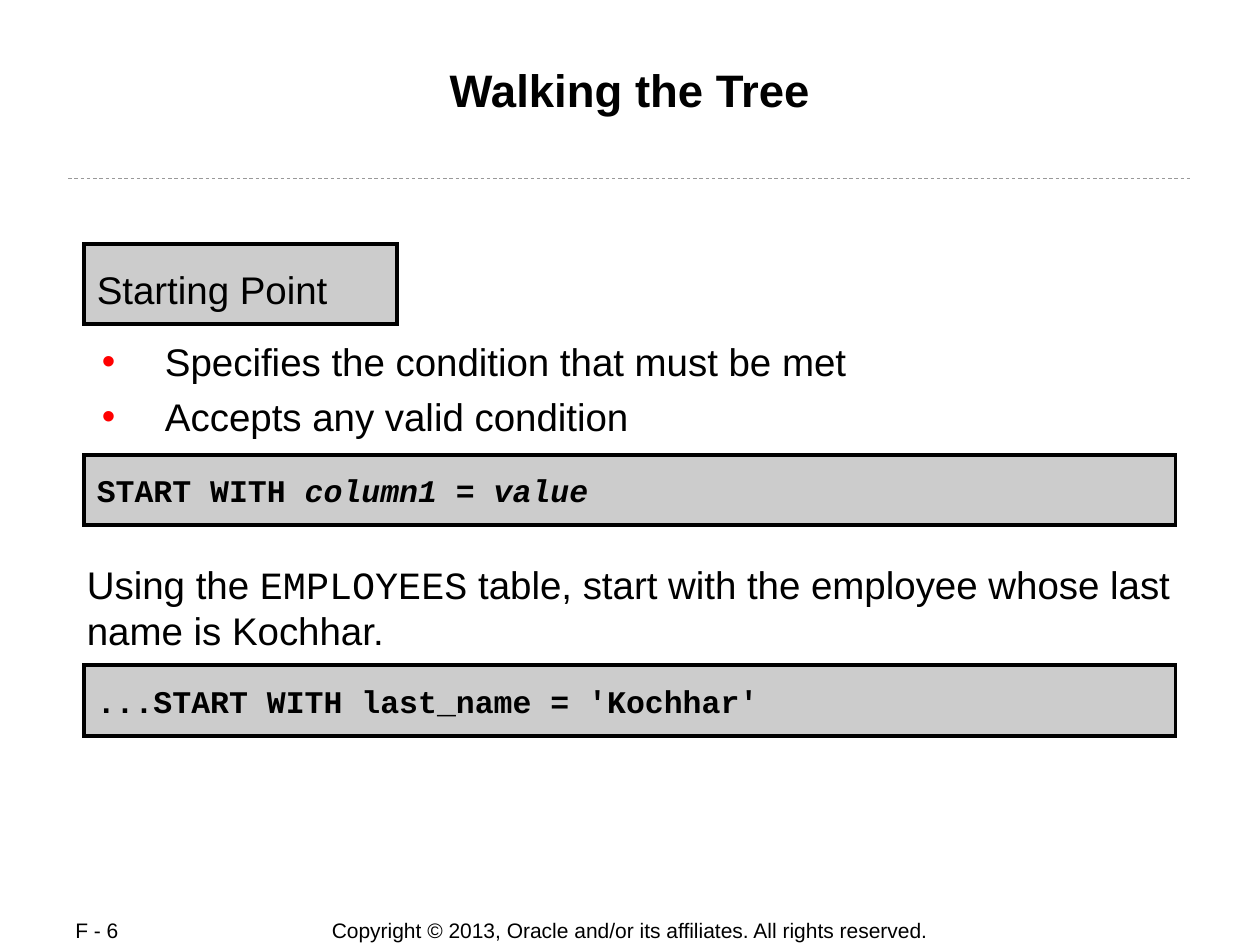
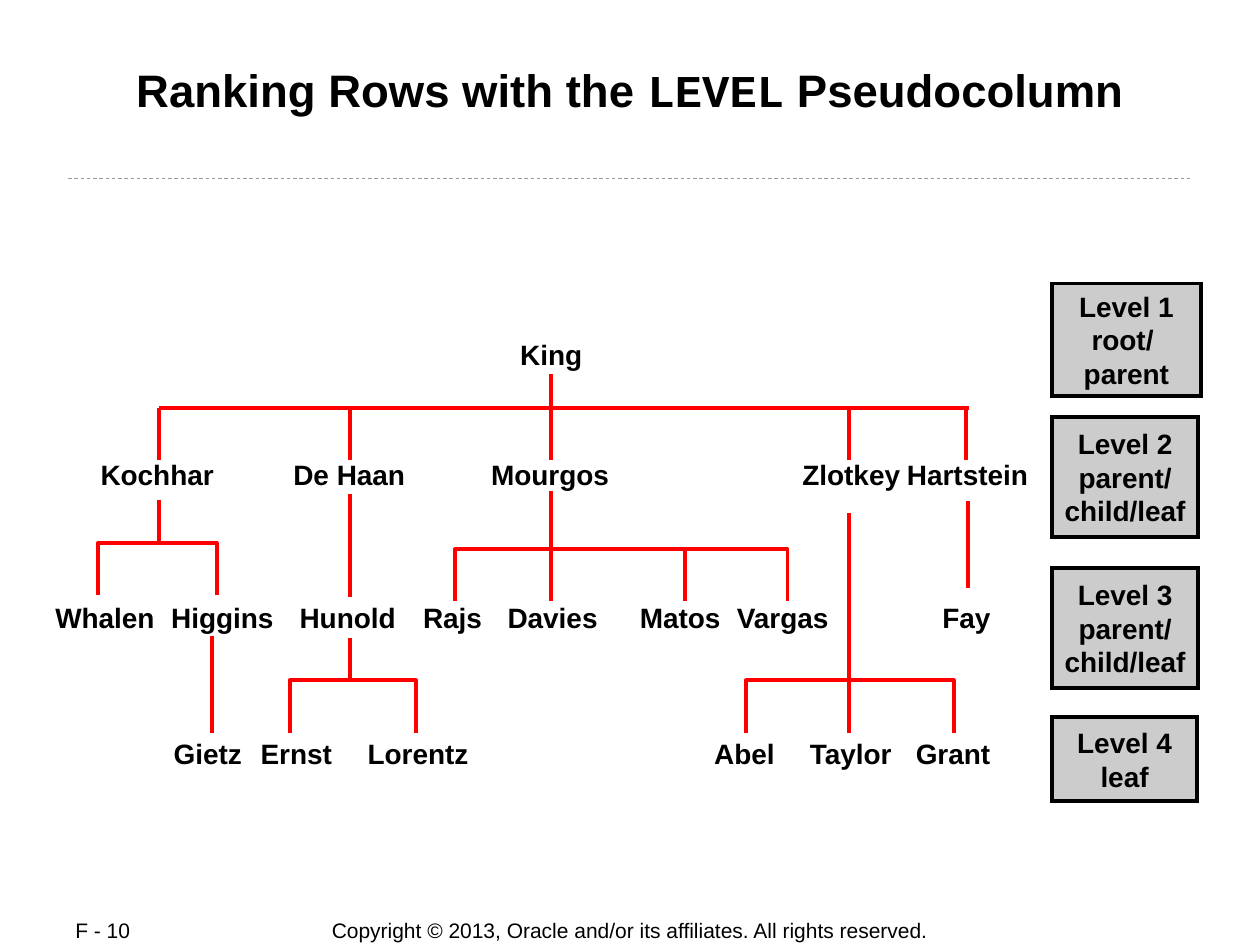
from dataclasses import dataclass

from lxml import etree
from pptx import Presentation
from pptx import util as u
from pptx.dml.color import RGBColor
from pptx.enum import dml, shapes, text
from pptx.oxml import ns


@dataclass(frozen=True)
class Theme:
    ink: str = "000000"
    panel: str = "CCCCCC"
    accent: str = "FF0000"
    rule: str = "999999"
    sans: str = "Arial"
    mono: str = "Courier New"
    title: int = 26
    body: int = 22
    code: int = 18
    label: int = 16
    footer: int = 12
    stroke: float = 2.25


THEME = Theme()
MONO = {"name": THEME.mono}
ITALIC = {"italic": True}
INSET = (0.1, 0.05, 0.1, 0.05)
THIN_INSET = (0.01, 0.01, 0.01, 0.01)
LEFT, CENTER = text.PP_ALIGN.LEFT, text.PP_ALIGN.CENTER
TOP, MIDDLE = text.MSO_ANCHOR.TOP, text.MSO_ANCHOR.MIDDLE

COPYRIGHT = "Copyright © 2013, Oracle and/or its affiliates. All rights reserved."

WALKING = {
    "title": ["Walking the Tree"],
    "number": "F - 6",
    "heading": "Starting Point",
    "bullets": ["Specifies the condition that must be met", "Accepts any valid condition"],
    "syntax": ["START WITH ", ("column1", ITALIC), " = ", ("value", ITALIC)],
    "task": ["Using the ", ("EMPLOYEES", MONO),
             " table, start with the employee whose last name is Kochhar."],
    "example": ["...START WITH last_name = 'Kochhar'"],
}

RANKING = {
    "title": ["Ranking Rows with the ", ("LEVEL", MONO), " Pseudocolumn"],
    "number": "F - 10",
}

LEVELS = [
    (2.25, 1.18, 0.89, ["Level 1", "root/ ", "parent"]),
    (3.31, 1.16, 0.95, ["Level 2", "parent/", "child/leaf"]),
    (4.51, 1.16, 0.95, ["Level 3", "parent/", "child/leaf"]),
    (5.69, 1.15, 0.67, ["Level 4", "leaf"]),
]

EMPLOYEES = [
    (2.63, [("King", 4.03, 0.69)]),
    (3.58, [("Kochhar", 0.7, 1.1), ("De Haan", 2.23, 1.09), ("Mourgos", 3.8, 1.14),
            ("Zlotkey", 6.27, 0.98), ("Hartstein", 7.1, 1.16)]),
    (4.72, [("Whalen", 0.34, 0.99), ("Higgins", 1.26, 1.01), ("Hunold", 2.28, 0.97),
            ("Rajs", 3.26, 0.67), ("Davies", 3.93, 0.92), ("Matos", 4.98, 0.84),
            ("Vargas", 5.75, 0.94), ("Fay", 7.38, 0.65)]),
    (5.8, [("Gietz", 1.28, 0.74), ("Ernst", 1.97, 0.77), ("Lorentz", 2.82, 1),
           ("Abel", 5.57, 0.68), ("Taylor", 6.33, 0.87), ("Grant", 7.17, 0.79)]),
]

ROOT_BUS = (3.24, [(1.26, 5.21), (5.2, 7.69)])

BRANCHES = [
    (4.37, 2.97, 3.24, 3.65, [], [1.26, 2.78, 4.37, 6.74, 7.67]),
    (1.26, 3.97, 4.31, 4.72, [(0.78, 1.72)], []),
    (4.37, 3.9, 4.36, 4.77, [(3.61, 5.44), (5.44, 6.25)], [4.37]),
    (2.78, 5.06, 5.4, 5.82, [(2.3, 3.3)], []),
    (6.74, 4.07, 5.4, 5.82, [(5.92, 7.57)], [6.74]),
]

ONLY_CHILDREN = [(2.78, 3.92, 4.74), (1.68, 5.05, 5.82), (7.68, 3.98, 4.67)]


def color(value):
    return RGBColor.from_string(value)


def style_line(line, value, width):
    line.color.rgb = color(value)
    line.width = u.Pt(width)


def add_line(page, x1, y1, x2, y2, value=THEME.accent, width=THEME.stroke):
    line = page.shapes.add_connector(
        shapes.MSO_CONNECTOR.STRAIGHT, *map(u.Inches, (x1, y1, x2, y2)))
    style_line(line.line, value, width)
    etree.SubElement(line._element.spPr, ns.qn("a:effectLst"))
    return line


def add_bullet(para):
    props = para._p.get_or_add_pPr()
    props.set("marL", str(u.Inches(0.63)))
    props.set("indent", str(u.Inches(-0.5)))
    tint = etree.SubElement(props, ns.qn("a:buClr"))
    etree.SubElement(tint, ns.qn("a:srgbClr"), val=THEME.accent)
    etree.SubElement(props, ns.qn("a:buFont"), typeface=THEME.sans)
    etree.SubElement(props, ns.qn("a:buChar"), char="•")


def write(box, paragraphs, size, name=THEME.sans, bold=False, align=LEFT, inset=INSET,
          anchor=MIDDLE, wrap=True, gap=0, bullets=False):
    frame = box.text_frame
    frame.word_wrap = wrap
    frame.vertical_anchor = anchor
    (frame.margin_left, frame.margin_top,
     frame.margin_right, frame.margin_bottom) = map(u.Inches, inset)
    for index, spans in enumerate(paragraphs):
        para = frame.add_paragraph() if index else frame.paragraphs[0]
        para.alignment = align
        if index and gap:
            para.space_before = u.Pt(gap)
        if bullets:
            add_bullet(para)
        font = para.font
        font.name, font.size, font.bold = name, u.Pt(size), bold
        font.color.rgb = color(THEME.ink)
        for item in spans:
            words, style = (item, {}) if isinstance(item, str) else item
            span = para.add_run()
            span.text = words
            for key, value in style.items():
                setattr(span.font, key, value)


def add_text(page, area, paragraphs, size, **style):
    box = page.shapes.add_textbox(*map(u.Inches, area))
    write(box, paragraphs, size, **style)
    return box


def add_panel(page, area, paragraphs, size, **style):
    panel = page.shapes.add_shape(shapes.MSO_SHAPE.RECTANGLE, *map(u.Inches, area))
    panel.shadow.inherit = False
    panel.fill.solid()
    panel.fill.fore_color.rgb = color(THEME.panel)
    style_line(panel.line, THEME.ink, THEME.stroke)
    outline = panel._element.spPr.find(ns.qn("a:ln"))
    etree.SubElement(outline, ns.qn("a:miter"), lim="800000")
    write(panel, paragraphs, size, **style)
    return panel


def add_page(deck, content):
    page = deck.slides.add_slide(deck.slide_layouts[6])
    add_text(page, (2.5, 7.28, 5, 0.21), [[COPYRIGHT]], THEME.footer, align=CENTER)
    add_text(page, (0.5, 7.28, 1.06, 0.2), [[content["number"]]], THEME.footer)
    rule = add_line(page, 0.54, 1.42, 9.46, 1.42, THEME.rule, 0.5)
    rule.line.dash_style = dml.MSO_LINE.DASH
    add_text(page, (0.67, 0.48, 8.66, 0.96), [content["title"]], THEME.title, bold=True,
             align=CENTER, inset=THIN_INSET, anchor=TOP)
    return page


def add_bracket(page, left, right, bus, foot):
    points = [tuple(map(u.Inches, point))
              for point in [(left, foot), (left, bus), (right, bus), (right, foot)]]
    builder = page.shapes.build_freeform(*points[0], scale=1.0)
    builder.add_line_segments(points[1:], close=False)
    bracket = builder.convert_to_shape()
    bracket.shadow.inherit = False
    bracket.fill.background()
    style_line(bracket.line, THEME.accent, THEME.stroke)


def add_branch(page, parent, top, bus, foot, brackets, drops):
    add_line(page, parent, top, parent, bus)
    for left, right in brackets:
        add_bracket(page, left, right, bus, foot)
    for child in drops:
        add_line(page, child, bus, child, foot)


def build_walking(deck):
    page = add_page(deck, WALKING)
    heading = add_panel(page, (0.67, 1.94, 2.48, 0.63), [[WALKING["heading"]]], THEME.body)
    heading.text_frame.paragraphs[0].line_spacing = 1.2
    add_text(page, (0.67, 2.67, 8.66, 0.85), [[line] for line in WALKING["bullets"]],
             THEME.body, inset=THIN_INSET, anchor=TOP, gap=5.5, bullets=True)
    add_text(page, (0.68, 4.44, 8.65, 0.78), [WALKING["task"]], THEME.body,
             inset=THIN_INSET, anchor=TOP)
    for y, code in [(3.61, WALKING["syntax"]), (5.28, WALKING["example"])]:
        add_panel(page, (0.67, y, 8.66, 0.56), [code], THEME.code,
                  name=THEME.mono, bold=True)


def build_ranking(deck):
    page = add_page(deck, RANKING)
    for y, width, height, lines in LEVELS:
        add_panel(page, (8.35, y, width, height), [[line] for line in lines],
                  THEME.label, bold=True, align=CENTER, wrap=False)
    bus, stretches = ROOT_BUS
    for left, right in stretches:
        add_line(page, left, bus, right, bus)
    for branch in BRANCHES:
        add_branch(page, *branch)
    for x, top, bottom in ONLY_CHILDREN:
        add_line(page, x, top, x, bottom)
    for y, people in EMPLOYEES:
        for person, left, width in people:
            box = add_text(page, (left, y, width, 0.37), [[person]], THEME.label,
                           bold=True, anchor=TOP, wrap=False)
            box.text_frame.auto_size = text.MSO_AUTO_SIZE.SHAPE_TO_FIT_TEXT


def main():
    deck = Presentation()
    deck.slide_width, deck.slide_height = u.Inches(10), u.Inches(7.5)
    build_walking(deck)
    build_ranking(deck)
    deck.save("out.pptx")


if __name__ == "__main__":
    main()
